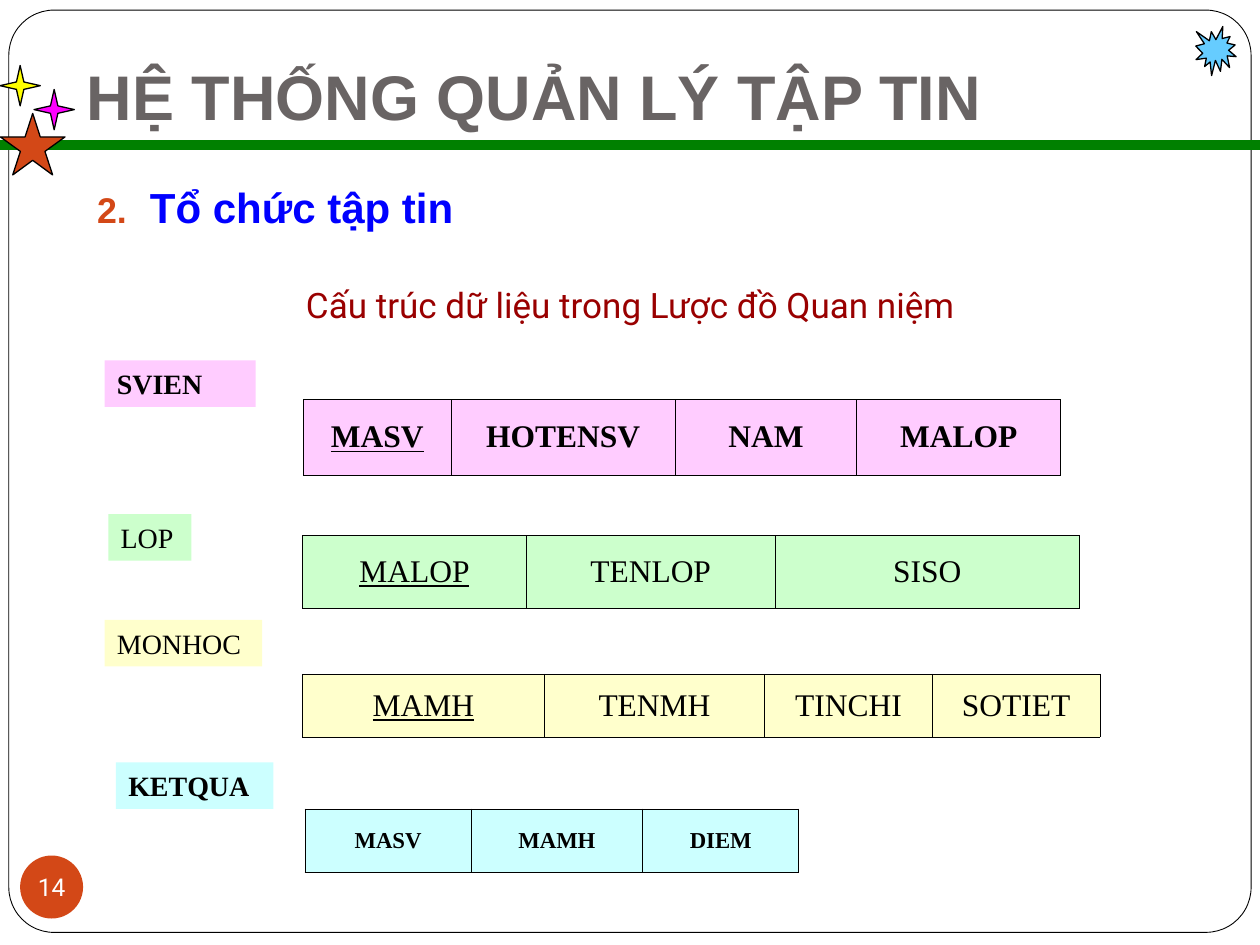
import math
from lxml import etree
from pptx import Presentation
from pptx.dml.color import RGBColor
from pptx.enum import shapes, text
from pptx.oxml import parse_xml
from pptx.oxml.ns import nsdecls, qn
from pptx.util import Inches, Pt

BLACK = RGBColor(0x00, 0x00, 0x00)
WHITE = RGBColor(0xFF, 0xFF, 0xFF)
GRAY = RGBColor(0x69, 0x64, 0x64)
BLUE = RGBColor(0x00, 0x00, 0xFF)
GREEN = RGBColor(0x00, 0x80, 0x00)
RUST = RGBColor(0xD3, 0x48, 0x17)
MAROON = RGBColor(0x99, 0x00, 0x00)
SKY = RGBColor(0x66, 0xCC, 0xFF)
YELLOW = RGBColor(0xFF, 0xFF, 0x00)
MAGENTA = RGBColor(0xFF, 0x00, 0xFF)
PINK = RGBColor(0xFF, 0xCC, 0xFF)
MINT = RGBColor(0xCC, 0xFF, 0xCC)
CREAM = RGBColor(0xFF, 0xFF, 0xCC)
AQUA = RGBColor(0xCC, 0xFF, 0xFF)
SERIF = "Times New Roman"


def write(frame, words, size, face, color, bold=False, align=text.PP_ALIGN.LEFT,
          anchor=text.MSO_ANCHOR.MIDDLE):
    frame.text = words
    frame.word_wrap = True
    frame.vertical_anchor = anchor
    para = frame.paragraphs[0]
    para.alignment = align
    font = para.runs[0].font
    font.size, font.name, font.bold = Pt(size), face, bold
    font.color.rgb = color
    return font


def paint(shape, fill, line=None, width=0.75):
    shape.shadow.inherit = False
    if fill is None:
        shape.fill.background()
    else:
        shape.fill.solid()
        shape.fill.fore_color.rgb = fill
    if line is None:
        shape.line.fill.background()
    else:
        shape.line.color.rgb = line
        shape.line.width = Pt(width)


deck = Presentation()
deck.slide_width, deck.slide_height = Inches(10), Inches(7.5)
slide = deck.slides.add_slide(deck.slide_layouts[1])
draw = slide.shapes
kind = shapes.MSO_SHAPE

# Rounded page frame
frame = draw.add_shape(kind.ROUNDED_RECTANGLE, Inches(0.07), Inches(0.08),
                       Inches(9.86), Inches(7.32))
frame.adjustments[0] = 0.049
paint(frame, None, BLACK, 0.5)

# Title
title = draw.title
title.left, title.top = Inches(0.59), Inches(-0.09)
title.width, title.height = Inches(9.61), Inches(1.25)
write(title.text_frame, "HỆ THỐNG QUẢN LÝ TẬP TIN", 36, "Arial", GRAY, True,
      anchor=text.MSO_ANCHOR.BOTTOM)
title.text_frame.margin_bottom = Inches(0.1)
title.text_frame.auto_size = text.MSO_AUTO_SIZE.NONE

# Numbered heading
body = slide.placeholders[1]
body.left, body.top = Inches(0.67), Inches(1.39)
body.width, body.height = Inches(8.5), Inches(5)
write(body.text_frame, "Tổ chức tập tin", 24, "Arial", BLUE, True,
      text.PP_ALIGN.JUSTIFY, text.MSO_ANCHOR.TOP)
body.text_frame.auto_size = text.MSO_AUTO_SIZE.NONE
para = body.text_frame.paragraphs[0]
para.space_before = Pt(0)
props = para._p.get_or_add_pPr()
props.set("marL", str(Inches(0.42)))
props.set("indent", str(Inches(-0.42)))
tint = etree.SubElement(props, qn("a:buClr"))
etree.SubElement(tint, qn("a:srgbClr"), val=str(RUST))
etree.SubElement(props, qn("a:buSzPct"), val="85000")
etree.SubElement(props, qn("a:buFont"), typeface="Arial")
etree.SubElement(props, qn("a:buAutoNum"), type="arabicPeriod", startAt="2")

# Slide number badge
badge = draw.add_shape(kind.OVAL, Inches(0.16), Inches(6.79), Inches(0.5), Inches(0.5))
paint(badge, RUST)
write(badge.text_frame, "14", 14, "Roboto", WHITE, align=text.PP_ALIGN.CENTER)
badge.text_frame.word_wrap = False
badge.text_frame.margin_left = badge.text_frame.margin_right = 0
badge.text_frame.margin_top = badge.text_frame.margin_bottom = 0

# Green rule under the title
rule = draw.add_connector(shapes.MSO_CONNECTOR.STRAIGHT, 0, Inches(1.15),
                          Inches(10), Inches(1.15))
rule.line.color.rgb = GREEN
rule.line.width = Pt(6)
etree.SubElement(rule._element.spPr, qn("a:effectLst"))

# Stars: points, centre, outer radius, inner ratio, colour
for tips, x, y, radius, ratio, color in [
    (5, 0.26, 1.17, 0.27, 0.38, RUST),
    (4, 0.16, 0.68, 0.16, 0.26, YELLOW),
    (4, 0.43, 0.87, 0.16, 0.26, MAGENTA),
]:
    dots = []
    for i in range(2 * tips):
        reach = radius * (ratio if i % 2 else 1)
        angle = math.pi * i / tips
        dots.append((Inches(x + reach * math.sin(angle)),
                     Inches(y - reach * math.cos(angle))))
    path = draw.build_freeform(*dots[0])
    path.add_line_segments(dots[1:], close=True)
    paint(path.convert_to_shape(), color, BLACK)

burst = draw.add_shape(kind.EXPLOSION1, Inches(9.49), Inches(0.21),
                       Inches(0.32), Inches(0.39))
paint(burst, SKY, BLACK)

# Caption
note = draw.add_textbox(Inches(2.33), Inches(2), Inches(6.92), Inches(0.83))
write(note.text_frame, "Cấu trúc dữ liệu trong Lược đồ Quan niệm", 20, "Roboto", MAROON)

# Relations: name, label (left, top, width), table (left, top, height),
# colour, bold, text size, key underlined, columns
for name, label, place, color, bold, size, key, cols in [
    ("SVIEN", (0.83, 2.86, 1.2), (2.41, 3.17, 0.6), PINK, True, 18, True,
     [("MASV", 1.17), ("HOTENSV", 1.78), ("NAM", 1.44), ("MALOP", 1.62)]),
    ("LOP", (0.86, 4.08, 0.66), (2.4, 4.25, 0.58), MINT, False, 18, True,
     [("MALOP", 1.78), ("TENLOP", 1.97), ("SISO", 2.42)]),
    ("MONHOC", (0.83, 4.92, 1.25), (2.4, 5.35, 0.5), CREAM, False, 18, True,
     [("MAMH", 1.92), ("TENMH", 1.75), ("TINCHI", 1.33), ("SOTIET", 1.33)]),
    ("KETQUA", (0.92, 6.05, 1.25), (2.42, 6.42, 0.5), AQUA, True, 13, False,
     [("MASV", 1.32), ("MAMH", 1.36), ("DIEM", 1.24)]),
]:
    left, top, width = label
    tag = draw.add_shape(kind.RECTANGLE, Inches(left), Inches(top),
                         Inches(width), Inches(0.37))
    paint(tag, color)
    write(tag.text_frame, name, 16, SERIF, BLACK, bold)

    left, top, height = place
    total = sum(width for _, width in cols)
    grid = draw.add_table(1, len(cols), Inches(left), Inches(top),
                          Inches(total), Inches(height)).table
    grid.first_row = grid.horz_banding = False
    for i, (field, width) in enumerate(cols):
        grid.columns[i].width = Inches(width)
        cell = grid.cell(0, i)
        font = write(cell.text_frame, field, size, SERIF, BLACK, bold,
                     text.PP_ALIGN.CENTER)
        font.underline = key and i == 0
        cell.vertical_anchor = text.MSO_ANCHOR.MIDDLE
        cell.fill.solid()
        cell.fill.fore_color.rgb = color
        for n, side in enumerate("LRTB"):
            edge = parse_xml(f'<a:ln{side} {nsdecls("a")} w="{Pt(0.45)}"><a:solidFill>'
                             f'<a:srgbClr val="{BLACK}"/></a:solidFill></a:ln{side}>')
            cell._tc.get_or_add_tcPr().insert(n, edge)

deck.save("out.pptx")
